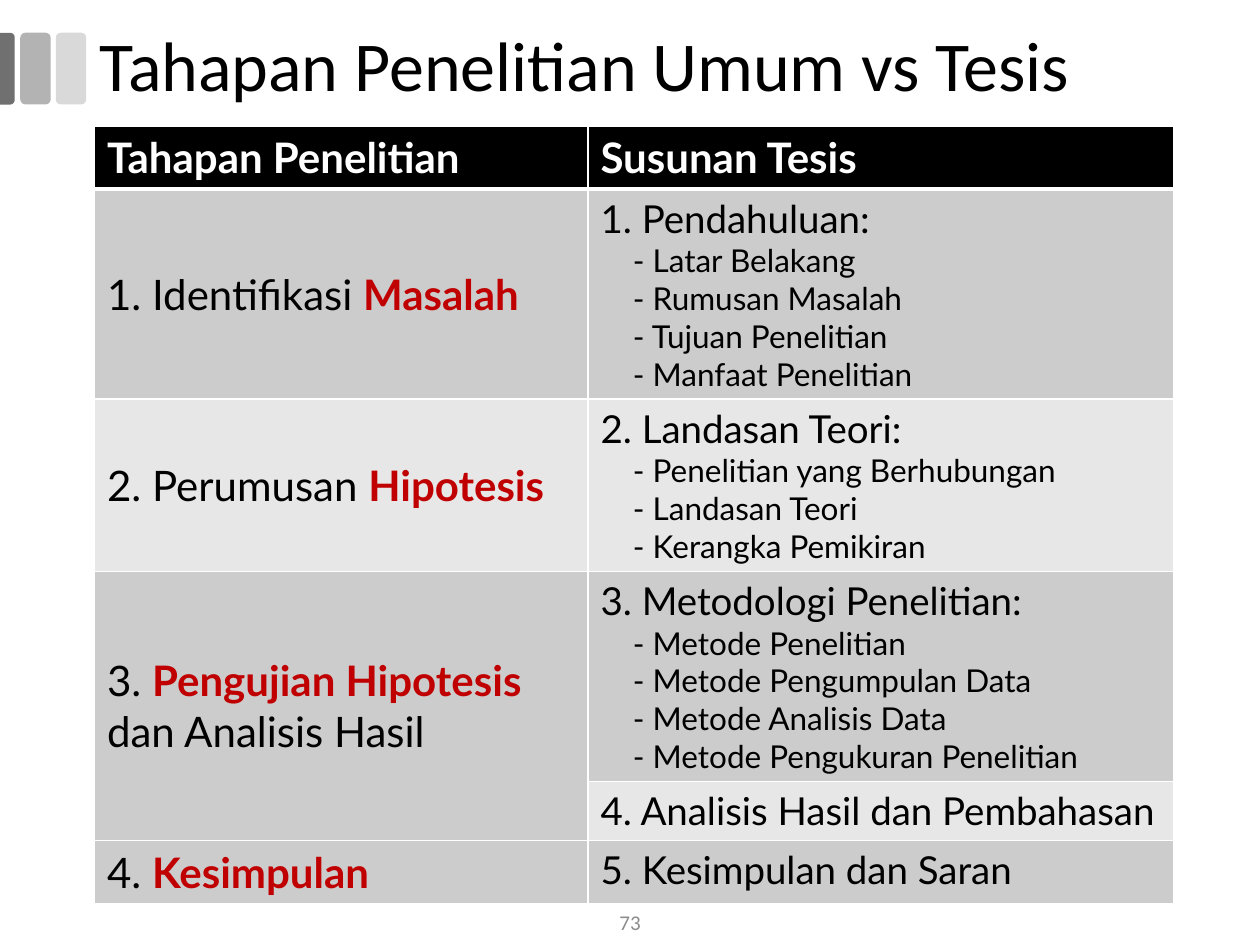
"""Build the slide comparing general research stages with thesis chapters."""
from lxml.etree import SubElement
from pptx import Presentation
from pptx.dml.color import RGBColor
from pptx.enum.shapes import MSO_SHAPE
from pptx.enum.text import MSO_ANCHOR, MSO_AUTO_SIZE, PP_ALIGN
from pptx.oxml.ns import qn
from pptx.util import Pt

BLACK = RGBColor(0x00, 0x00, 0x00)
WHITE = RGBColor(0xFF, 0xFF, 0xFF)
RED = RGBColor(0xC0, 0x00, 0x00)
DARK_BAND = RGBColor(0xCC, 0xCC, 0xCC)
LIGHT_BAND = RGBColor(0xE7, 0xE7, 0xE7)
GREY = RGBColor(0x8C, 0x8C, 0x8C)

TITLE = "Tahapan Penelitian Umum vs Tesis"
PAGE = "73"
HEADERS = ["Tahapan Penelitian", "Susunan Tesis"]
STAGES = [
    [[("1. Identifikasi ", False), ("Masalah", True)]],
    [[("2. Perumusan ", False), ("Hipotesis", True)]],
    [[("3. ", False), ("Pengujian Hipotesis", True)], [("dan Analisis Hasil", False)]],
    [],
    [[("4. ", False), ("Kesimpulan", True)]],
]
CHAPTERS = [
    ("1. Pendahuluan:", ["Latar Belakang", "Rumusan Masalah",
                         "Tujuan Penelitian", "Manfaat Penelitian"]),
    ("2. Landasan Teori:", ["Penelitian yang Berhubungan", "Landasan Teori",
                            "Kerangka Pemikiran"]),
    ("3. Metodologi Penelitian:", ["Metode Penelitian", "Metode Pengumpulan Data",
                                   "Metode Analisis Data", "Metode Pengukuran Penelitian"]),
    ("4. Analisis Hasil dan Pembahasan", []),
    ("5. Kesimpulan dan Saran", []),
]
COLUMNS = [282, 335]
ROWS = [35.5, 120, 98.5, 119.5, 33.5, 35.5]
MARKS = [
    (MSO_SHAPE.ROUNDED_RECTANGLE, (31.9, 18.7, 17.4, 41), 0, RGBColor(0xD9, 0xD9, 0xD9), []),
    (MSO_SHAPE.ROUNDED_RECTANGLE, (11.6, 18.7, 17.4, 41), 0, RGBColor(0xB3, 0xB3, 0xB3), []),
    (MSO_SHAPE.ROUND_2_SAME_RECTANGLE, (-16.4, 35, 41, 8.6), 90,
     RGBColor(0x70, 0x70, 0x70), [0.29, 0]),
]
HEADER = dict(size=Pt(24), name="Lato", bold=True)
STAGE = dict(HEADER, bold=False)
CHAPTER = dict(STAGE, size=Pt(22))
SECTION = dict(STAGE, size=Pt(18))
TITLE_FONT = dict(size=Pt(40), name="Calibri")
PAGE_FONT = dict(size=Pt(12), name="Calibri")


def add_run(p, text, font, color):
    r = p.add_run()
    r.text = text
    for key, value in font.items():
        setattr(r.font, key, value)
    r.font.color.rgb = color


def next_paragraph(tf):
    p = tf.paragraphs[0] if not tf.paragraphs[0].runs else tf.add_paragraph()
    p.alignment = PP_ALIGN.LEFT
    return p


def style_cell(cell, fill, bottom=1):
    tc_pr = cell._tc.get_or_add_tcPr()
    for side, width in zip("LRTB", (1, 1, 1, bottom)):
        ln = SubElement(tc_pr, qn(f"a:ln{side}"), w=str(Pt(width)))
        SubElement(SubElement(ln, qn("a:solidFill")), qn("a:srgbClr"), val=str(WHITE))
    cell.fill.solid()
    cell.fill.fore_color.rgb = fill


def add_marks(s):
    for kind, box, angle, color, adjustments in MARKS:
        sp = s.shapes.add_shape(kind, *map(Pt, box))
        sp.rotation = angle
        sp.shadow.inherit = False
        sp.fill.solid()
        sp.fill.fore_color.rgb = color
        sp.line.fill.background()
        for i, value in enumerate(adjustments):
            sp.adjustments[i] = value


def add_stage_table(s):
    table = s.shapes.add_table(len(ROWS), len(COLUMNS), Pt(54), Pt(72),
                               Pt(sum(COLUMNS)), Pt(sum(ROWS))).table
    for column, width in zip(table.columns, COLUMNS):
        column.width = Pt(width)
    for row, height in zip(table.rows, ROWS):
        row.height = Pt(height)
    for i, text in enumerate(HEADERS):
        cell = table.cell(0, i)
        style_cell(cell, BLACK, 3)
        add_run(next_paragraph(cell.text_frame), text, HEADER, WHITE)
    bands = [DARK_BAND, LIGHT_BAND, DARK_BAND, LIGHT_BAND, DARK_BAND]
    for i, (stage, (chapter, sections), band) in enumerate(zip(STAGES, CHAPTERS, bands), 1):
        left, right = table.cell(i, 0), table.cell(i, 1)
        style_cell(left, band if stage else DARK_BAND)
        style_cell(right, band)
        left.vertical_anchor = MSO_ANCHOR.MIDDLE
        for line in stage:
            p = next_paragraph(left.text_frame)
            for text, key in line:
                add_run(p, text, dict(STAGE, bold=key), RED if key else BLACK)
        add_run(next_paragraph(right.text_frame), chapter, CHAPTER, BLACK)
        for section in sections:
            p = next_paragraph(right.text_frame)
            p._p.get_or_add_pPr().set("marL", str(Pt(18.5)))
            add_run(p, f"- {section}", SECTION, BLACK)
    table.cell(3, 0).merge(table.cell(4, 0))


def place_text(sp, box, text, font, color, align):
    sp.left, sp.top, sp.width, sp.height = map(Pt, box)
    tf = sp.text_frame
    tf.word_wrap = True
    tf.auto_size = MSO_AUTO_SIZE.NONE
    tf.vertical_anchor = MSO_ANCHOR.MIDDLE
    p = tf.paragraphs[0]
    p.alignment = align
    p.line_spacing = 0.9
    add_run(p, text, font, color)


def main():
    prs = Presentation()
    prs.slide_width, prs.slide_height = Pt(720), Pt(540)
    s = prs.slides.add_slide(prs.slide_layouts[5])
    add_marks(s)
    add_stage_table(s)
    place_text(s.shapes.title, (49.7, 12.2, 669.6, 54), TITLE, TITLE_FONT, BLACK, PP_ALIGN.LEFT)
    page = s.shapes.add_textbox(0, 0, 0, 0)
    place_text(page, (279, 516, 162, 24), PAGE, PAGE_FONT, GREY, PP_ALIGN.CENTER)
    prs.save("out.pptx")


if __name__ == "__main__":
    main()
